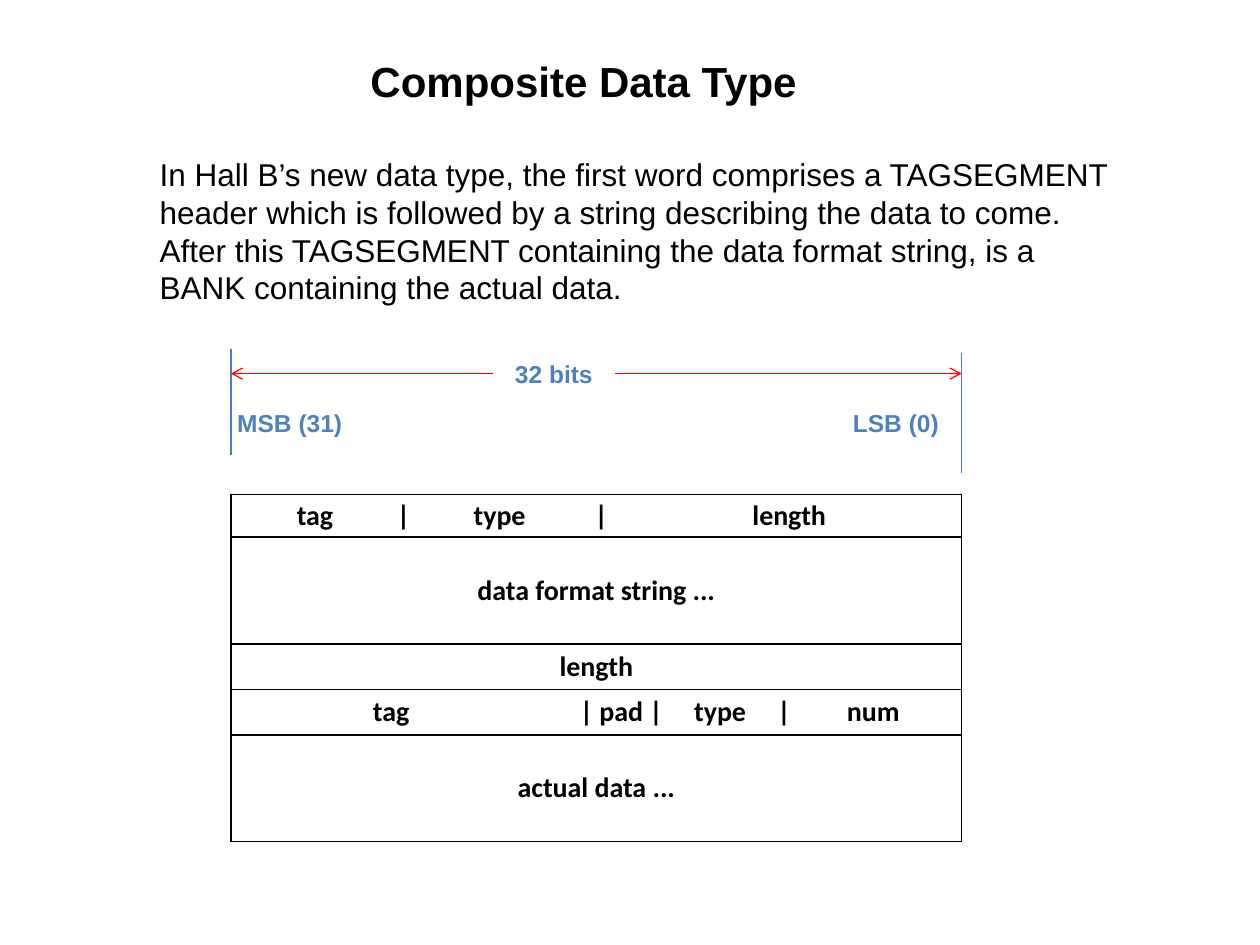
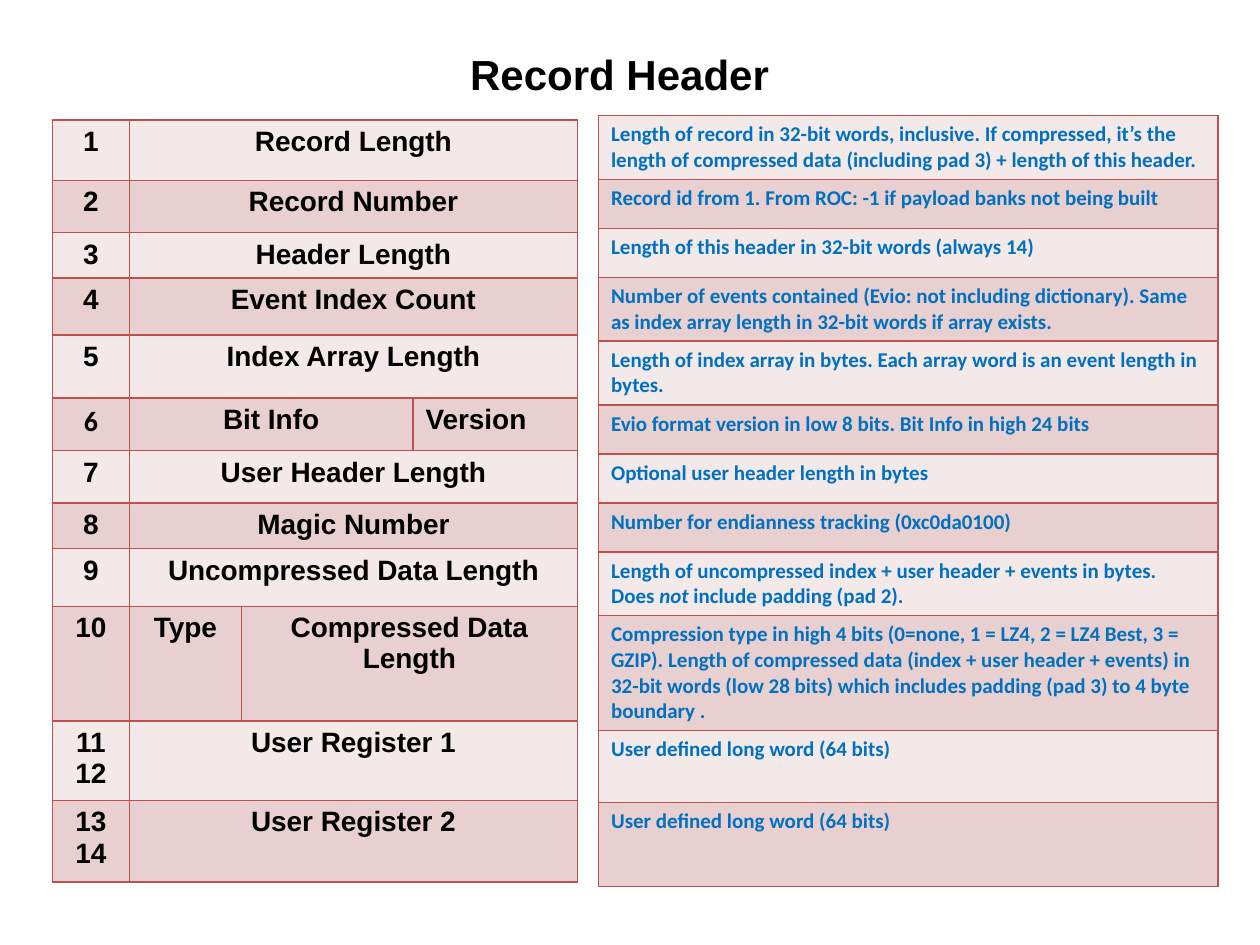
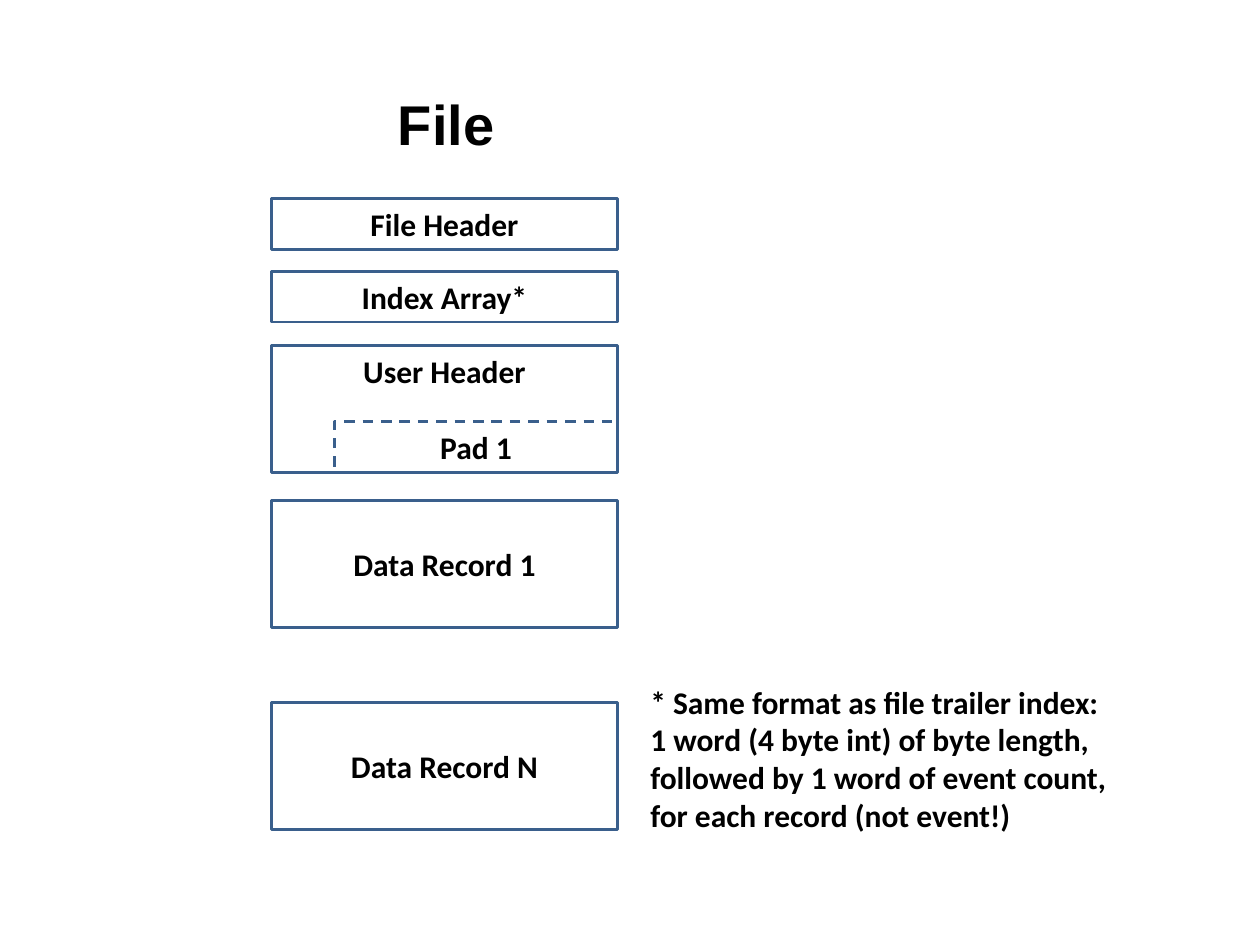
from lxml import etree
from pptx import Presentation
from pptx.dml.color import RGBColor
from pptx.enum.dml import MSO_LINE
from pptx.enum.shapes import MSO_CONNECTOR, MSO_SHAPE
from pptx.enum.text import MSO_ANCHOR, MSO_AUTO_SIZE, PP_ALIGN
from pptx.oxml.ns import qn
from pptx.util import Pt

LEFT, CENTER = PP_ALIGN.LEFT, PP_ALIGN.CENTER
TOP, MIDDLE = MSO_ANCHOR.TOP, MSO_ANCHOR.MIDDLE
RECTANGLE, STRAIGHT, DASH = MSO_SHAPE.RECTANGLE, MSO_CONNECTOR.STRAIGHT, MSO_LINE.DASH
NO_AUTOFIT = MSO_AUTO_SIZE.NONE


class Theme:
    heading_font, body_font = "Arial", "Calibri"
    black, white = "000000", "FFFFFF"
    label_blue, guide_blue, box_blue = "4F81BD", "4B7EBC", "3A5F8C"
    description_blue, arrow_red, grid_red = "0070C0", "FF0000", "C0504D"
    bands = ("F4E9E9", "E8D0D0")
    title, text, cell, label, description = 24, 18, 16, 14, 12


def format_text(text_frame, size, font_name, color=Theme.black, alignment=LEFT, bold=True):
    """Give every paragraph and run of a text frame one look."""
    for paragraph in text_frame.paragraphs:
        paragraph.alignment = alignment
        for run in paragraph.runs:
            run.font.size = Pt(size)
            run.font.name = font_name
            run.font.bold = bold
            run.font.color.rgb = RGBColor.from_string(color)


def add_grid(slide, left, top, column_widths, row_heights, border, fills):
    """Add a table with a uniform border and fills that alternate by row."""
    table = slide.shapes.add_table(
        len(row_heights), len(column_widths), Pt(left), Pt(top),
        Pt(sum(column_widths)), Pt(sum(row_heights))).table
    table.first_row = table.horz_banding = False
    for column, width in zip(table.columns, column_widths):
        column.width = Pt(width)
    for index, (row, height) in enumerate(zip(table.rows, row_heights)):
        row.height = Pt(height)
        for cell in row.cells:
            cell.fill.solid()
            cell.fill.fore_color.rgb = RGBColor.from_string(fills[index % len(fills)])
            properties = cell._tc.get_or_add_tcPr()
            for position, edge in enumerate(("a:lnL", "a:lnR", "a:lnT", "a:lnB")):
                line = etree.Element(qn(edge), w=str(Pt(1)))
                fill = etree.SubElement(line, qn("a:solidFill"))
                etree.SubElement(fill, qn("a:srgbClr"), val=border)
                properties.insert(position, line)
    return table


presentation = Presentation()
presentation.slide_width, presentation.slide_height = Pt(720), Pt(540)
content_layout, title_layout = presentation.slide_layouts[1], presentation.slide_layouts[5]

# Slides and their shadowed titles
titles = [
    ("Composite Data Type", content_layout, (204.5, 28, 282, 36), Theme.title, LEFT),
    ("Record Header", title_layout, (150, 24, 408, 36), Theme.title, CENTER),
    ("File", title_layout, (90, 47.5, 330, 46), 32, CENTER),
]
slides = []
for text, layout, box, size, alignment in titles:
    slide = presentation.slides.add_slide(layout)
    slides.append(slide)
    title = slide.shapes.title
    title.left, title.top, title.width, title.height = map(Pt, box)
    title.text_frame.text = text
    title.text_frame.auto_size = NO_AUTOFIT
    format_text(title.text_frame, size, Theme.heading_font, alignment=alignment)
    run_properties = title.text_frame.paragraphs[0].runs[0].font._element
    effects = etree.Element(qn("a:effectLst"))
    shadow = etree.SubElement(effects, qn("a:outerShdw"), blurRad=str(Pt(4)),
                              dist=str(Pt(3)), dir="2700000", algn="tl")
    shadow_color = etree.SubElement(shadow, qn("a:srgbClr"), val=Theme.black)
    etree.SubElement(shadow_color, qn("a:alpha"), val="43000")
    run_properties.find(qn("a:solidFill")).addnext(effects)
composite_slide, record_slide, file_slide = slides

# Composite data type: introduction
introduction = composite_slide.placeholders[1]
introduction.left, introduction.top, introduction.width, introduction.height = map(
    Pt, (84, 85, 564, 94.5))
introduction.text_frame.text = (
    "In Hall B’s new data type, the first word comprises a TAGSEGMENT header which is "
    "followed by a string describing the data to come. After this TAGSEGMENT containing "
    "the data format string, is a BANK containing the actual data.")
introduction.text_frame.auto_size = NO_AUTOFIT
paragraph = introduction.text_frame.paragraphs[0]
paragraph.space_before = Pt(0)
paragraph_properties = paragraph._p.get_or_add_pPr()
paragraph_properties.set("marL", "0")
paragraph_properties.set("indent", "0")
etree.SubElement(paragraph_properties, qn("a:buNone"))
format_text(introduction.text_frame, Theme.text, Theme.heading_font, bold=False)

# Composite data type: word layout, with centred tab stops for the fields
word_left, word_width = 132, 417.5
word_right = word_left + word_width
words = [
    (24.5, "\ttag\t|\ttype\t|\tlength", (43, 93.5, 148.5, 206.5, 314)),
    (61, "data format string ...", ()),
    (26, "length", ()),
    (26, "\ttag\t| pad |\ttype\t|\tnum", (86.5, 218, 274.5, 311, 362)),
    (61, "actual data ...", ()),
]
word_table = add_grid(composite_slide, word_left, 282.5, [word_width],
                      [height for height, _, _ in words], Theme.black, [Theme.white])
for index, (_, text, stops) in enumerate(words):
    cell = word_table.cell(index, 0)
    cell.margin_left = cell.margin_right = Pt(5)
    cell.margin_top = cell.margin_bottom = Pt(0)
    cell.vertical_anchor = MIDDLE
    cell.text_frame.text = text
    if stops:
        properties = cell.text_frame.paragraphs[0]._p.get_or_add_pPr()
        tabs = etree.SubElement(properties, qn("a:tabLst"))
        for stop in stops:
            etree.SubElement(tabs, qn("a:tab"), pos=str(Pt(stop)), algn="ctr")
    format_text(cell.text_frame, Theme.cell, Theme.body_font,
                alignment=LEFT if stops else CENTER)

# Composite data type: bit ruler
ruler_lines = [
    (word_right, 201.5, word_right, 270.5, Theme.guide_blue, False),
    (word_left, 199.5, word_left, 260, Theme.guide_blue, False),
    (351.5, 213.5, word_right, 213.5, Theme.arrow_red, True),
    (281.5, 213.5, word_left, 213.5, Theme.arrow_red, True),
]
for start_x, start_y, end_x, end_y, color, has_arrow in ruler_lines:
    connector = composite_slide.shapes.add_connector(
        STRAIGHT, Pt(start_x), Pt(start_y), Pt(end_x), Pt(end_y))
    connector.line.color.rgb = RGBColor.from_string(color)
    connector.line.width = Pt(0.75)
    shape_properties = connector._element.spPr
    if has_arrow:
        etree.SubElement(shape_properties.find(qn("a:ln")), qn("a:tailEnd"), type="arrow")
    etree.SubElement(shape_properties, qn("a:effectLst"))

ruler_labels = [
    ("32 bits", (281.5, 201.5, 70, 24.5), CENTER, None),
    ("MSB (31)\tLSB (0)", (128.5, 229.5, 421, 24.5), LEFT, 401),
]
for text, box, alignment, right_stop in ruler_labels:
    label = composite_slide.shapes.add_textbox(*map(Pt, box))
    label.text_frame.word_wrap = True
    label.text_frame.text = text
    if right_stop:
        properties = label.text_frame.paragraphs[0]._p.get_or_add_pPr()
        tabs = etree.SubElement(properties, qn("a:tabLst"))
        etree.SubElement(tabs, qn("a:tab"), pos=str(Pt(right_stop)), algn="r")
    format_text(label.text_frame, Theme.label, Theme.heading_font, Theme.label_blue, alignment)

# Record header: fields as (height, word numbers, [(name, first column, last column)])
fields = [
    (34.5, "1", [("Record Length", 1, 3)]),
    (30, "2", [("Record Number", 1, 3)]),
    (26, "3", [("Header Length", 1, 3)]),
    (32.5, "4", [("Event Index Count", 1, 3)]),
    (36, "5", [("Index Array Length", 1, 3)]),
    (30, "6", [("Bit Info", 1, 2), ("Version", 3, 3)]),
    (30, "7", [("User Header Length", 1, 3)]),
    (26, "8", [("Magic Number", 1, 3)]),
    (33, "9", [("Uncompressed Data Length", 1, 3)]),
    (65.5, "10", [("Type", 1, 1), ("Compressed Data Length", 2, 3)]),
    (45.5, "11\n12", [("User Register 1", 1, 3)]),
    (46.5, "13\n14", [("User Register 2", 1, 3)]),
]
field_table = add_grid(record_slide, 30, 68.5, [44, 64, 98, 94],
                       [height for height, _, _ in fields], Theme.grid_red, Theme.bands)
for index, (_, numbers, names) in enumerate(fields):
    for text, first, last in [(numbers, 0, 0)] + names:
        cell = field_table.cell(index, first)
        if last > first:
            cell.merge(field_table.cell(index, last))
        cell.text_frame.text = text
        format_text(cell.text_frame, Theme.cell,
                    Theme.body_font if text == "6" else Theme.heading_font,
                    alignment=LEFT if text == "Version" else CENTER)

# Record header: descriptions, with asterisks around italic words
descriptions = [
    (36, "Length of record in 32-bit words, inclusive. If compressed, it’s the length of "
         "compressed data (including pad 3) + length of this header."),
    (28, "Record id from 1. From ROC: -1 if payload banks not being built"),
    (28, "Length of this header in 32-bit words (always 14)"),
    (36, "Number of events contained (Evio: not including dictionary). Same as index array "
         "length in 32-bit words if array exists."),
    (36, "Length of index array in bytes. Each array word is an event length in bytes."),
    (28, "Evio format version in low 8 bits. Bit Info in high 24 bits"),
    (28, "Optional user header length in bytes"),
    (28, "Number for endianness tracking (0xc0da0100)"),
    (36, "Length of uncompressed index + user header + events in bytes. "
         "Does *not* include padding (pad 2)."),
    (51, "Compression type in high 4 bits (0=none, 1 = LZ4, 2 = LZ4 Best, 3 = GZIP). Length of "
         "compressed data (index + user header + events) in 32-bit words (low 28 bits) which "
         "includes padding (pad 3) to 4 byte boundary ."),
    (41, "User defined long word (64 bits)"),
    (48, "User defined long word (64 bits)"),
]
description_table = add_grid(record_slide, 342, 66, [354],
                             [height for height, _ in descriptions],
                             Theme.grid_red, Theme.bands)
for index, (_, text) in enumerate(descriptions):
    text_frame = description_table.cell(index, 0).text_frame
    for part_index, part in enumerate(text.split("*")):
        run = text_frame.paragraphs[0].add_run()
        run.text = part
        run.font.italic = part_index % 2 == 1
    format_text(text_frame, Theme.description, Theme.body_font, Theme.description_blue)

# File: stacked blocks
block_left, block_width, pad_indent = 155, 198, 36
blocks = [
    ("File Header", 0, 113.5, 29, MIDDLE),
    ("Index Array*", 0, 155, 29, MIDDLE),
    ("User Header", 0, 197.5, 72.5, TOP),
    ("Pad 1", pad_indent, 240.75, 29, MIDDLE),
    ("Data Record 1", 0, 286, 72.5, MIDDLE),
    ("Data Record N", 0, 401.5, 72.5, MIDDLE),
]
for text, indent, top, height, anchor in blocks:
    block = file_slide.shapes.add_shape(
        RECTANGLE, Pt(block_left + indent), Pt(top), Pt(block_width - indent), Pt(height))
    block.shadow.inherit = False
    block.fill.background()
    block.line.color.rgb = RGBColor.from_string(Theme.box_blue)
    block.line.width = Pt(1.5)
    if indent:
        block.line.dash_style = DASH
    block.text_frame.text = text
    block.text_frame.vertical_anchor = anchor
    format_text(block.text_frame, Theme.text, Theme.body_font, alignment=CENTER)

# File: footnote
footnote = file_slide.shapes.add_textbox(Pt(364.5), Pt(386.5), Pt(276), Pt(103.5))
footnote.text_frame.word_wrap = True
footnote.text_frame.text = (
    "* Same format as file trailer index:\n"
    "1 word (4 byte int) of byte length,\vfollowed by 1 word of event count,\n"
    "for each record (not event!)")
format_text(footnote.text_frame, Theme.text, Theme.body_font)

presentation.save("out.pptx")
